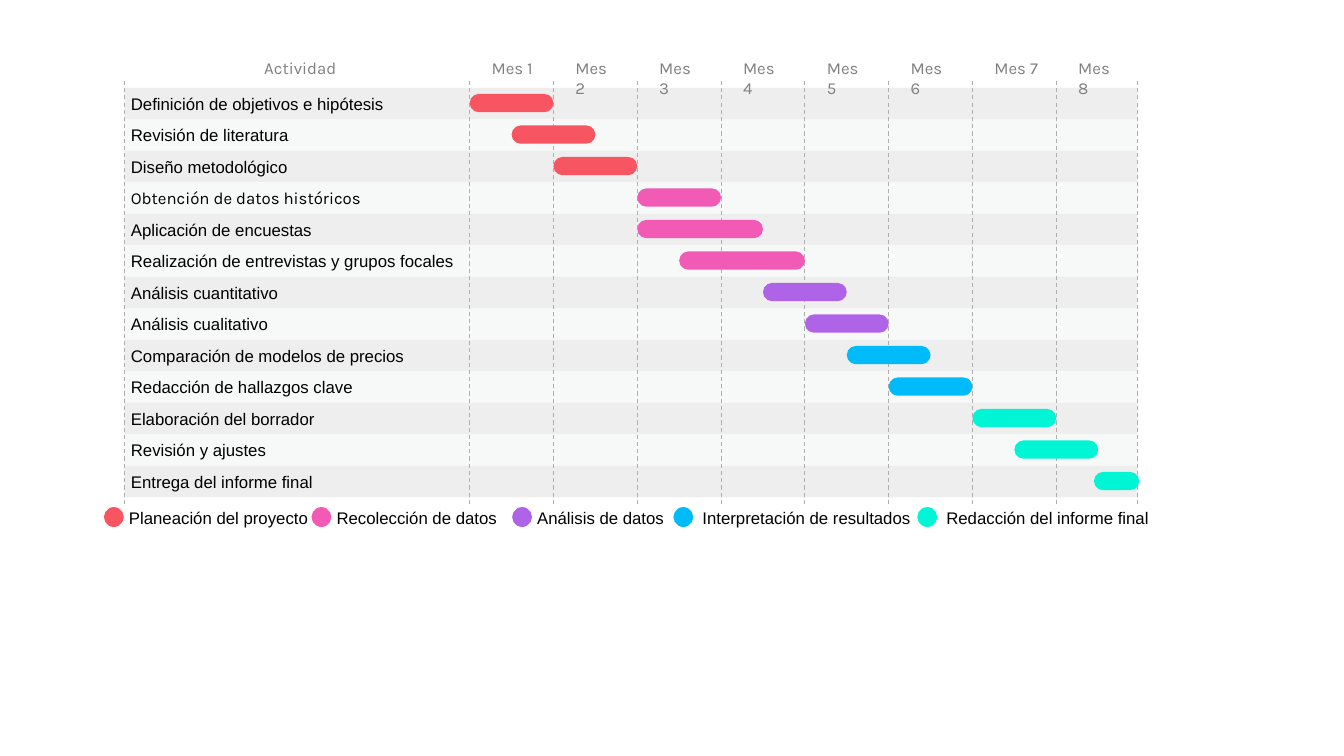
import pptx
import pptx.util
import pptx.dml.color
import pptx.enum.dml
import pptx.enum.shapes
import pptx.enum.text
import pptx.oxml.ns
import lxml.etree

Pt = pptx.util.Pt
KIND = pptx.enum.shapes.MSO_SHAPE
ROW = 22.5
MONTH = 59.86
SIDE = 246.7

PHASES = {
    "plan": ("F75561", "Planeación del proyecto", 74.2, 10.8, 143),
    "data": ("F15BB5", "Recolección de datos", 222.5, 10.8, 129),
    "study": ("AF64E8", "Análisis de datos", 365.8, 10.8, 105),
    "sense": ("00BBF9", "Interpretación de resultados", 481, 13.7, 164),
    "draft": ("00F5D4", "Redacción del informe final", 655.2, 13.7, 160),
}
TASKS = [
    ("Definición de objetivos e hipótesis", "plan", 0, 1, "Arial"),
    ("Revisión de literatura", "plan", 0.5, 1, "Arial"),
    ("Diseño metodológico", "plan", 1, 1, "Arial"),
    ("Obtención de datos históricos", "data", 2, 1, "Karla"),
    ("Aplicación de encuestas", "data", 2, 1.5, "Arial"),
    ("Realización de entrevistas y grupos focales", "data", 2.5, 1.5, "Arial"),
    ("Análisis cuantitativo", "study", 3.5, 1, "Arial"),
    ("Análisis cualitativo", "study", 4, 1, "Arial"),
    ("Comparación de modelos de precios", "sense", 4.5, 1, "Arial"),
    ("Redacción de hallazgos clave", "sense", 5, 1, "Arial"),
    ("Elaboración del borrador", "draft", 6, 1, "Arial"),
    ("Revisión y ajustes", "draft", 6.5, 1, "Arial"),
    ("Entrega del informe final", "draft", 7.45, 0.54, "Arial"),
]


def paint(tint):
    """Turn a hex string into a colour."""
    return pptx.dml.color.RGBColor.from_string(tint)


def shape(slide, kind, x, y, w, h, tint):
    """Add a plain filled shape."""
    item = slide.shapes.add_shape(kind, Pt(x), Pt(y), Pt(w), Pt(h))
    item.shadow.inherit = False
    item.fill.solid()
    item.fill.fore_color.rgb = paint(tint)
    item.line.fill.background()
    return item


def label(slide, text, x, y, w, font="Arial", tint="000000", wrap=True):
    """Add a one-line text box and return its paragraph."""
    frame = slide.shapes.add_textbox(Pt(x), Pt(y), Pt(w), Pt(21.8)).text_frame
    frame.word_wrap = wrap
    frame.auto_size = pptx.enum.text.MSO_AUTO_SIZE.SHAPE_TO_FIT_TEXT
    frame.text = text
    line = frame.paragraphs[0]
    face = line.runs[0].font
    face.size = Pt(12)
    face.name = font
    face.color.rgb = paint(tint)
    return line


def rule(slide, x, top, end):
    """Add a dashed upright line."""
    line = slide.shapes.add_connector(
        pptx.enum.shapes.MSO_CONNECTOR.STRAIGHT, Pt(x), Pt(top), Pt(x), Pt(end))
    line.line.color.rgb = paint("AEAEAE")
    line.line.width = Pt(0.75)
    line.line.dash_style = pptx.enum.dml.MSO_LINE.DASH
    lxml.etree.SubElement(line._element.spPr, pptx.oxml.ns.qn("a:effectLst"))


def bands(slide, x, y, w):
    """Draw the striped rows with their task names."""
    for i, (name, phase, start, span, font) in enumerate(TASKS):
        top = y + i * ROW
        shape(slide, KIND.RECTANGLE, x, top, w, ROW, "F6F9F8" if i % 2 else "EEEEEE")
        label(slide, name, x - 2.4, top + 0.5, 249, font)


def heads(slide, x, y, w):
    """Draw the column heads and the dashed lines below them."""
    head = label(slide, "Actividad", x + 5.5, y - 25.2, 240.5, "Karla", "808080")
    head.alignment = pptx.enum.text.PP_ALIGN.CENTER
    for i in range(8):
        left = x + SIDE + i * MONTH
        label(slide, f"Mes {i + 1}", left + 8.6, y - 25.2, 45.36, "Karla", "808080", False)
        rule(slide, left, y - 5, y + 298.8)
    for edge in (x, x + w):
        rule(slide, edge, y - 5, y + 298.8)


def bars(slide, x, y):
    """Draw one rounded bar for each task."""
    for i, (name, phase, start, span, font) in enumerate(TASKS):
        bar = shape(slide, KIND.ROUNDED_RECTANGLE, x + SIDE + start * MONTH,
                    y + i * ROW + 4.3, span * MONTH, 13.1, PHASES[phase][0])
        bar.adjustments[0] = 0.5


def legend(slide, y):
    """Draw the key of phase colours."""
    for tint, name, left, gap, width in PHASES.values():
        shape(slide, KIND.OVAL, left, y, 14.2, 14.2, tint)
        label(slide, name, left + gap, y - 3.4, width)


def main():
    """Build and save the slide."""
    deck = pptx.Presentation()
    deck.slide_width, deck.slide_height = Pt(960), Pt(540)
    slide = deck.slides.add_slide(deck.slide_layouts[6])
    x, y, w = 88.8, 62.8, 723.6
    bands(slide, x, y, w)
    heads(slide, x, y, w)
    bars(slide, x, y)
    legend(slide, 362.2)
    deck.save("out.pptx")


if __name__ == "__main__":
    main()
